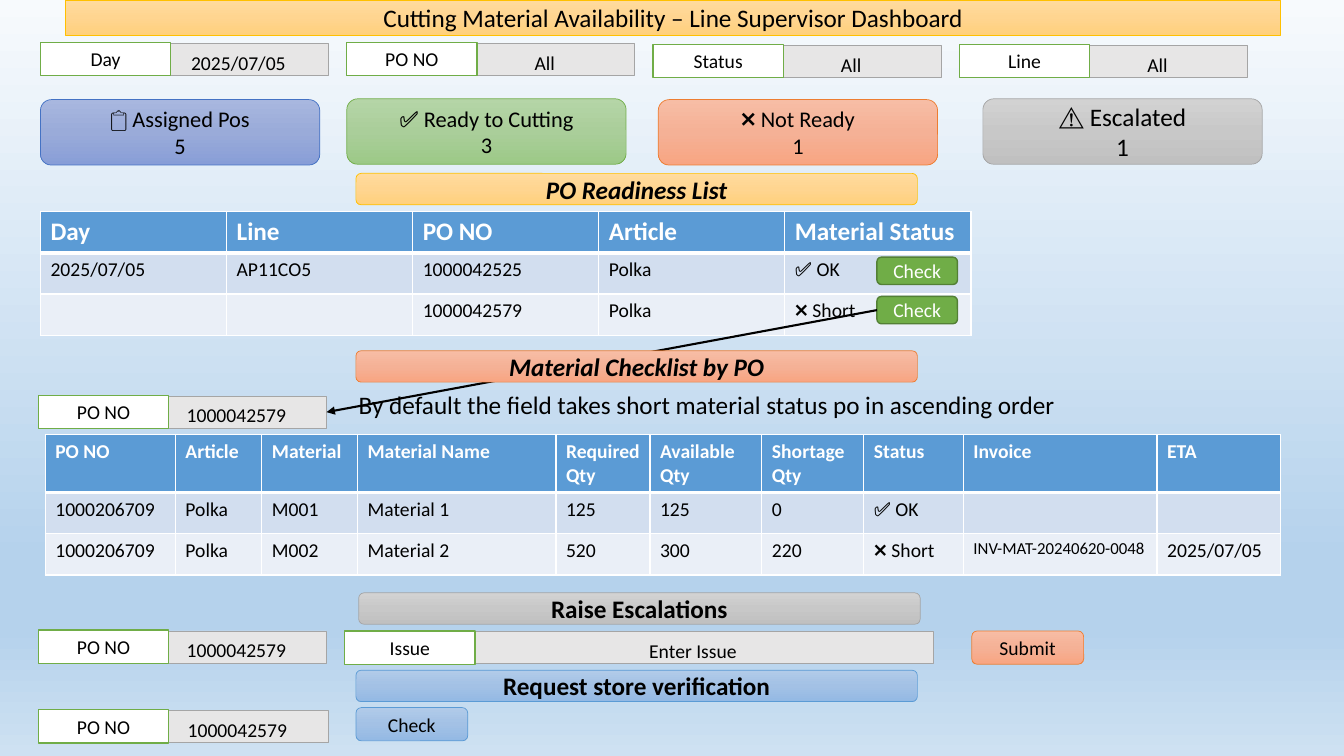
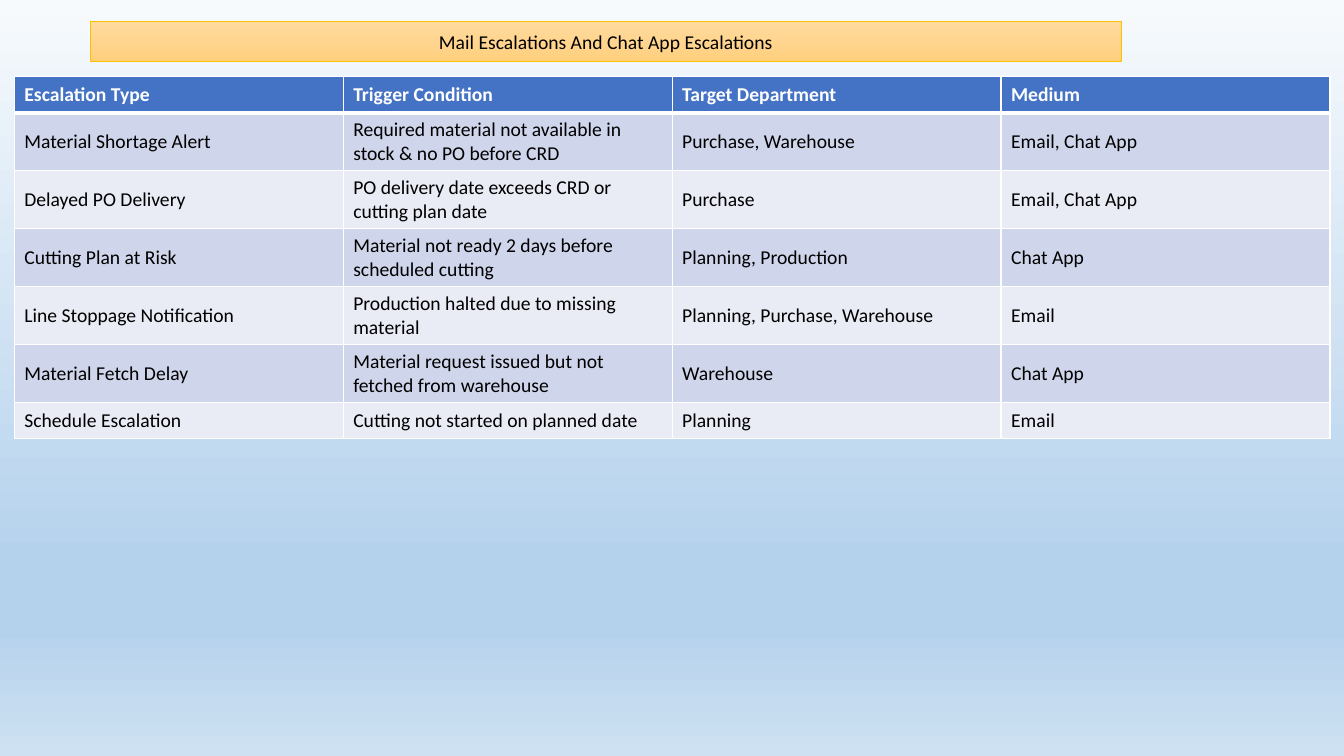
"""Build a cutting-material dashboard and its escalation table."""
import pptx
import pptx.dml.color
import pptx.enum.shapes
import pptx.enum.text
import pptx.oxml
import pptx.oxml.ns
import pptx.util
from lxml import etree

Cm, Pt = pptx.util.Cm, pptx.util.Pt
SHAPE = pptx.enum.shapes.MSO_SHAPE
ALIGN = pptx.enum.text.PP_ALIGN
ANCHOR = pptx.enum.text.MSO_ANCHOR
qn = pptx.oxml.ns.qn

FONT = "Calibri"
C = {
    "text": "000000", "white": "FFFFFF", "field": "E7E6E6",
    "green": "70AD47", "dark_green": "538035", "gray": "A5A5A5",
}
BACKGROUND = [(0, "F7FAFD"), (74, "B5D2EC"), (83, "B5D2EC"), (100, "CEE1F2")]
THEMES = {
    "gold": (["FFDB9E", "FFD590", "FFD07C"], "FFC000"),
    "indigo": (["A8B7DF", "9AABD9", "889ED7"], "4472C4"),
    "green": (["B5D5A7", "AACE9A", "9CC987"], "70AD47"),
    "orange": (["F7BDA5", "F5B196", "F8A582"], "ED7D31"),
    "gray": (["D2D2D2", "C8C8C8", "C0C0C0"], "A5A5A5"),
    "blue": (["B1CBE9", "A3C1E5", "93B9E4"], "5B9BD5"),
}
BLUE_TABLE = ("5B9BD5", "D2DEEF", "EAEFF7")
INDIGO_TABLE = ("4472C4", "CFD5EA", "E9EBF5")

FILTERS = [("Day", "2025/07/05", 1.07), ("PO NO", "All", 1.07),
           ("Status", "All", 1.12), ("Line", "All", 1.12)]
CARDS = [
    (1.02, 2.51, "indigo", "📋 Assigned Pos", "5", 16),
    (8.74, 2.49, "green", "✅ Ready to Cutting", "3", 16),
    (16.59, 2.51, "orange", "❌ Not Ready", "1", 16),
    (24.77, 2.49, "gray", "⚠ Escalated", "1", 18),
]
BANNERS = [
    (8.97, 4.37, "gold", "PO Readiness List", True),
    (8.97, 8.84, "orange", "Material Checklist by PO", True),
    (9.04, 14.94, "gray", "Raise Escalations", False),
    (8.97, 16.89, "blue", "Request store verification", False),
]
READINESS = [
    ["Day", "Line", "PO NO", "Article", "Material Status"],
    ["2025/07/05", "AP11CO5", "1000042525", "Polka", "✅ OK"],
    ["", "", "1000042579", "Polka", "❌ Short"],
]
CHECKLIST = [
    ["PO NO", "Article", "Material", "Material Name", "Required Qty",
     "Available Qty", "Shortage Qty", "Status", "Invoice", "ETA"],
    ["1000206709", "Polka", "M001", "Material 1", "125", "125", "0", "✅ OK", "", ""],
    ["1000206709", "Polka", "M002", "Material 2", "520", "300", "220", "❌ Short",
     "INV-MAT-20240620-0048", "2025/07/05"],
]
CHECKLIST_COLS = [3.28, 2.18, 2.41, 5, 2.37, 2.82, 2.57, 2.51, 4.88, 3.11]
INVOICE_COL = 8
ESCALATIONS = [
    ["Escalation Type", "Trigger Condition", "Target Department", "Medium"],
    ["Material Shortage Alert",
     "Required material not available in stock & no PO before CRD",
     "Purchase, Warehouse", "Email, Chat App"],
    ["Delayed PO Delivery", "PO delivery date exceeds CRD or cutting plan date",
     "Purchase", "Email, Chat App"],
    ["Cutting Plan at Risk", "Material not ready 2 days before scheduled cutting",
     "Planning, Production", "Chat App"],
    ["Line Stoppage Notification", "Production halted due to missing material",
     "Planning, Purchase, Warehouse", "Email"],
    ["Material Fetch Delay", "Material request issued but not fetched from warehouse",
     "Warehouse", "Chat App"],
    ["Schedule Escalation", "Cutting not started on planned date", "Planning", "Email"],
]


def rgb(color):
    return pptx.dml.color.RGBColor.from_string(color)


def set_gradient(fill, element, stops):
    fill.gradient()
    fill.gradient_angle = 270
    gs_list = element.find(".//" + qn("a:gsLst"))
    for gs in list(gs_list):
        gs_list.remove(gs)
    for pos, color in stops:
        gs = etree.SubElement(gs_list, qn("a:gs"), pos=str(pos * 1000))
        etree.SubElement(gs, qn("a:srgbClr"), val=color)


def add_run(p, text, size, color=C["text"], bold=False, italic=False):
    r = p.add_run()
    r.text = text
    r.font.name, r.font.size = FONT, Pt(size)
    r.font.bold, r.font.italic = bold, italic
    r.font.color.rgb = rgb(color)


def add_box(s, kind, box, lines, size, theme=None, fill=None, line=None,
            line_width=1, **style):
    sp = s.shapes.add_shape(kind, *map(Cm, box))
    sp.shadow.inherit = False
    if theme:
        colors, line = THEMES[theme]
        set_gradient(sp.fill, sp.element, zip((0, 50, 100), colors))
        line_width = 0.5
    else:
        sp.fill.solid()
        sp.fill.fore_color.rgb = rgb(fill)
    sp.line.color.rgb = rgb(line)
    sp.line.width = Pt(line_width)
    tf = sp.text_frame
    tf.word_wrap = True
    tf.vertical_anchor = ANCHOR.MIDDLE
    for i, text in enumerate(lines):
        p = tf.add_paragraph() if i else tf.paragraphs[0]
        p.alignment = ALIGN.CENTER
        add_run(p, text, size, **style)
    return sp


def add_title(s, box, text, size):
    add_box(s, SHAPE.RECTANGLE, box, [text], size, "gold")


def add_field(s, x, y, label, value, width=7.26):
    value_box = add_box(s, SHAPE.RECTANGLE, (x, y + 0.02, width, 0.81), [value], 14,
                        fill=C["field"], line=C["gray"], line_width=0.5)
    tf = value_box.text_frame
    tf.margin_left, tf.margin_top, tf.margin_bottom = Cm(2.97), Cm(0.15), 0
    add_box(s, SHAPE.RECTANGLE, (x, y, 3.28, 0.84), [label], 14,
            fill=C["white"], line=C["green"])
    return value_box


def add_button(s, x, y, text, theme):
    add_box(s, SHAPE.ROUNDED_RECTANGLE, (x, y, 2.82, 0.84), [text], 14, theme)


def set_borders(cell, top, bottom):
    tc_pr = cell._tc.get_or_add_tcPr()
    for side, width in (("L", 1), ("R", 1), ("T", top), ("B", bottom)):
        ln = etree.SubElement(tc_pr, qn("a:ln" + side), w=str(Pt(width)))
        solid = etree.SubElement(ln, qn("a:solidFill"))
        etree.SubElement(solid, qn("a:srgbClr"), val=C["white"])


def add_table(s, x, y, cols, heights, rows, palette, head_size=14,
              anchor=ANCHOR.TOP, small_col=None):
    frame = s.shapes.add_table(len(rows), len(cols), Cm(x), Cm(y),
                               Cm(sum(cols)), Cm(sum(heights)))
    table = frame.table
    for column, width in zip(table.columns, cols):
        column.width = Cm(width)
    for i, (row, height) in enumerate(zip(rows, heights)):
        table.rows[i].height = Cm(height)
        head = i == 0
        fill = palette[0] if head else palette[2 - i % 2]
        for j, text in enumerate(row):
            cell = table.cell(i, j)
            set_borders(cell, 3 if i == 1 else 1, 3 if head else 1)
            cell.fill.solid()
            cell.fill.fore_color.rgb = rgb(fill)
            cell.vertical_anchor = anchor
            if text:
                size = head_size if head else 12 if j == small_col else 14
                add_run(cell.text_frame.paragraphs[0], text, size,
                        C["white"] if head else C["text"], bold=head)


def add_arrow(s, start, end):
    line = s.shapes.add_connector(pptx.enum.shapes.MSO_CONNECTOR.STRAIGHT, 0, 0, 0, 0)
    line.begin_connect(start, 1)
    line.end_connect(end, 3)
    line.line.color.rgb = rgb(C["text"])
    line.line.width = Pt(1.5)
    ln = line.line._get_or_add_ln()
    etree.SubElement(ln, qn("a:tailEnd"), type="triangle")
    etree.SubElement(line.element.spPr, qn("a:effectLst"))


def build_dashboard(s):
    add_title(s, (1.65, 0, 30.63, 0.89),
              "Cutting Material Availability – Line Supervisor Dashboard", 18)
    for i, (label, value, y) in enumerate(FILTERS):
        add_field(s, 1.02 + 7.72 * i, y, label, value)
    for x, y, theme, label, count, size in CARDS:
        add_box(s, SHAPE.ROUNDED_RECTANGLE, (x, y, 7.04, 1.65), [label, count],
                size, theme)

    add_table(s, 1.02, 5.33, [4.69] * 5, [1.04] * 3, READINESS, BLUE_TABLE, head_size=18)
    add_table(s, 1.14, 10.95, CHECKLIST_COLS, [1.04] * 3, CHECKLIST, BLUE_TABLE,
              small_col=INVOICE_COL)

    checks = [add_box(s, SHAPE.ROUNDED_RECTANGLE, (22.1, y, 2.03, 0.69), ["Check"], 14,
                      fill=C["green"], line=C["dark_green"], color=C["white"])
              for y in (6.48, 7.47)]
    selected_po = add_field(s, 0.97, 9.96, "PO NO", "1000042579")
    note = s.shapes.add_textbox(Cm(8.79), Cm(9.68), Cm(20.7), Cm(1.02))
    note.text_frame.word_wrap = True
    add_run(note.text_frame.paragraphs[0],
            "By default the field takes short material status po in ascending order", 18)
    add_arrow(s, checks[-1], selected_po)

    add_field(s, 0.97, 15.88, "PO NO", "1000042579")
    add_field(s, 8.69, 15.9, "Issue", "Enter Issue", 14.83)
    add_button(s, 24.49, 15.9, "Submit", "orange")
    add_field(s, 0.97, 17.88, "PO NO", "1000042579", 7.31)
    add_button(s, 8.97, 17.83, "Check", "blue")
    for x, y, theme, text, italic in BANNERS:
        add_box(s, SHAPE.ROUNDED_RECTANGLE, (x, y, 14.15, 0.79), [text], 18, theme,
                bold=True, italic=italic)


def build_escalations(s):
    add_title(s, (2.29, 0.53, 25.96, 1.02), "Mail Escalations And Chat App Escalations", 14)
    add_table(s, 0.36, 1.93, [8.29] * 4, [0.91] + [1.46] * 5 + [0.91], ESCALATIONS,
              INDIGO_TABLE, anchor=ANCHOR.MIDDLE)


def main():
    prs = pptx.Presentation()
    prs.slide_width, prs.slide_height = Cm(33.87), Cm(19.05)
    master = prs.slide_master
    set_gradient(master.background.fill, master.element, BACKGROUND)
    for build in (build_dashboard, build_escalations):
        build(prs.slides.add_slide(prs.slide_layouts[6]))
    prs.save("out.pptx")


if __name__ == "__main__":
    main()
